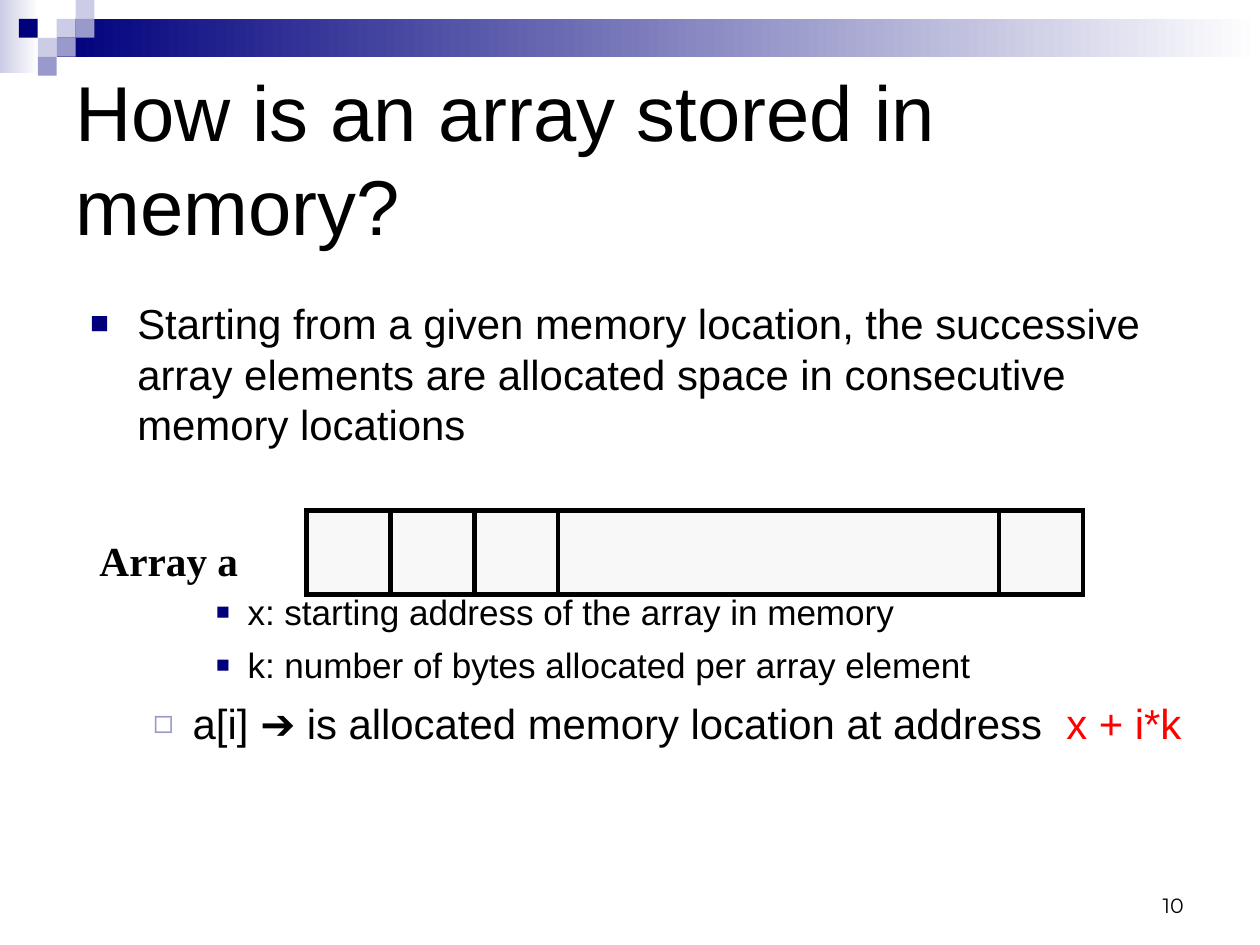
"""Build a slide that explains how an array is stored in memory."""
from lxml.etree import SubElement
from pptx import Presentation
from pptx.dml.color import RGBColor
from pptx.enum.shapes import MSO_CONNECTOR, MSO_SHAPE
from pptx.enum.text import MSO_ANCHOR, PP_ALIGN
from pptx.oxml.ns import qn
from pptx.util import Pt

NAVY = RGBColor(0x00, 0x00, 0x7D)
LAVENDER = RGBColor(0x99, 0x99, 0xCC)
PALE = RGBColor(0xCC, 0xCC, 0xE6)
WHITE = RGBColor(0xFF, 0xFF, 0xFF)
OFF_WHITE = RGBColor(0xF8, 0xF8, 0xF8)
BLACK = RGBColor(0x00, 0x00, 0x00)
RED = RGBColor(0xFF, 0x00, 0x00)

TITLE = "How is an array stored in memory?"
ARRAY_LABEL = "Array a"
PAGE_NUMBER = "10"
DETAIL = dict(size=22.1, margin=2.5, hanging=0.5, bullet=("■", NAVY, 65))
BODY = [
    ([("Starting from a given memory location, the successive array elements "
       "are allocated space in consecutive memory locations", BLACK)],
     dict(size=26.4, before=7.7, margin=0.75, hanging=0.75, bullet=("■", NAVY, 75))),
    ([("x: starting address of the array in memory", BLACK)], dict(before=89.5, **DETAIL)),
    ([("k: number of bytes allocated per array element", BLACK)], dict(before=6.5, **DETAIL)),
    ([("a[i] ➔ is allocated memory location at address  ", BLACK), ("x + i*k", RED)],
     dict(size=26.4, before=7.7, margin=1.63, hanging=0.63, bullet=("◻", LAVENDER, 80))),
]

COLUMNS, ROWS = 20, 15
WIDTH, HEIGHT = Pt(793.75), Pt(595.25)
TILE = 0.3
TILES = [(3, 1, PALE), (4, 0, PALE), (4, 1, LAVENDER), (2, 2, PALE),
         (1, 1, NAVY), (3, 2, LAVENDER), (2, 3, LAVENDER)]
BANDS = [((0, 0, 0.62, 1.16), PALE), ((0.9, TILE, 19.1, 2 * TILE), NAVY)]
ARRAY_LEFT, ARRAY_TOP, CELL = 4.86, 8.1, 1.333
CELL_COUNT = 9.25
DIVIDERS = [1, 2, 3, CELL_COUNT - 1]


def across(columns):
    return int(WIDTH * columns / COLUMNS)


def down(rows):
    return int(HEIGHT * rows / ROWS)


def area(left, top, width, height):
    return across(left), down(top), across(width), down(height)


def add_box(page, place, fill, fade=None, line=None):
    box = page.shapes.add_shape(MSO_SHAPE.RECTANGLE, *area(*place))
    box.shadow.inherit = False
    if fade is None:
        box.fill.solid()
        box.fill.fore_color.rgb = fill
    else:
        box.fill.gradient()
        box.fill.gradient_angle = 0
        for stop, color, position in zip(box.fill.gradient_stops, (fill, fade), (0, 1)):
            stop.color.rgb = color
            stop.position = position
    if line is None:
        box.line.fill.background()
    else:
        box.line.color.rgb = line
        box.line.width = Pt(3)
        SubElement(box.line._get_or_add_ln(), qn("a:miter"), lim="800000")


def add_divider(page, column):
    left = across(ARRAY_LEFT + column * CELL)
    divider = page.shapes.add_connector(
        MSO_CONNECTOR.STRAIGHT, left, down(ARRAY_TOP), left, down(ARRAY_TOP + CELL))
    divider.line.color.rgb = BLACK
    divider.line.width = Pt(3)
    SubElement(divider._element.spPr, qn("a:effectLst"))


def prepare_frame(box, anchor=MSO_ANCHOR.TOP):
    frame = box.text_frame
    frame.word_wrap = True
    frame.vertical_anchor = anchor
    frame.margin_left = frame.margin_right = across(0.2)
    frame.margin_top = frame.margin_bottom = down(0.1)
    return frame


def write(para, spans, size, font="Arial", bold=False, align=PP_ALIGN.LEFT,
          before=0, margin=0, hanging=0, bullet=None):
    para.alignment = align
    para.space_before = Pt(before)
    properties = para._p.get_or_add_pPr()
    properties.set("marL", str(across(margin)))
    properties.set("indent", str(-across(hanging)))
    if bullet:
        symbol, color, percent = bullet
        SubElement(SubElement(properties, qn("a:buClr")), qn("a:srgbClr"), val=str(color))
        SubElement(properties, qn("a:buSzPct"), val=str(percent * 1000))
        SubElement(properties, qn("a:buFont"), typeface=font)
        SubElement(properties, qn("a:buChar"), char=symbol)
    for text, color in spans:
        span = para.add_run()
        span.text = text
        span.font.name = font
        span.font.size = Pt(size)
        span.font.bold = bold
        span.font.color.rgb = color


def add_label(page, place, text, anchor=MSO_ANCHOR.TOP, **style):
    frame = prepare_frame(page.shapes.add_textbox(*area(*place)), anchor)
    write(frame.paragraphs[0], [(text, BLACK)], **style)


def main():
    deck = Presentation()
    deck.slide_width, deck.slide_height = WIDTH, HEIGHT
    page = deck.slides.add_slide(deck.slide_layouts[5])

    for place, color in BANDS:
        add_box(page, place, color, fade=WHITE)
    for column, row, color in TILES:
        add_box(page, (column * TILE, row * TILE, TILE, TILE), color)

    title = page.shapes.title
    title.left, title.top, title.width, title.height = area(1, 1, 18, 3)
    write(prepare_frame(title, MSO_ANCHOR.MIDDLE).paragraphs[0], [(TITLE, BLACK)], size=49)

    body = prepare_frame(page.shapes.add_textbox(*area(1.23, 4.63, 18, 8.5)))
    for index, (spans, style) in enumerate(BODY):
        para = body.add_paragraph() if index else body.paragraphs[0]
        write(para, spans, **style)

    add_box(page, (ARRAY_LEFT, ARRAY_TOP, CELL_COUNT * CELL, CELL), OFF_WHITE, line=BLACK)
    for column in DIVIDERS:
        add_divider(page, column)
    add_label(page, (1.38, 8.4, 2.83, 0.98), ARRAY_LABEL, size=26,
              font="Times New Roman", bold=True, before=16.2)
    add_label(page, (14.33, 13.66, 4.66, 1), PAGE_NUMBER, anchor=MSO_ANCHOR.BOTTOM,
              size=13, font="Montserrat", align=PP_ALIGN.RIGHT)
    deck.save("out.pptx")


if __name__ == "__main__":
    main()
